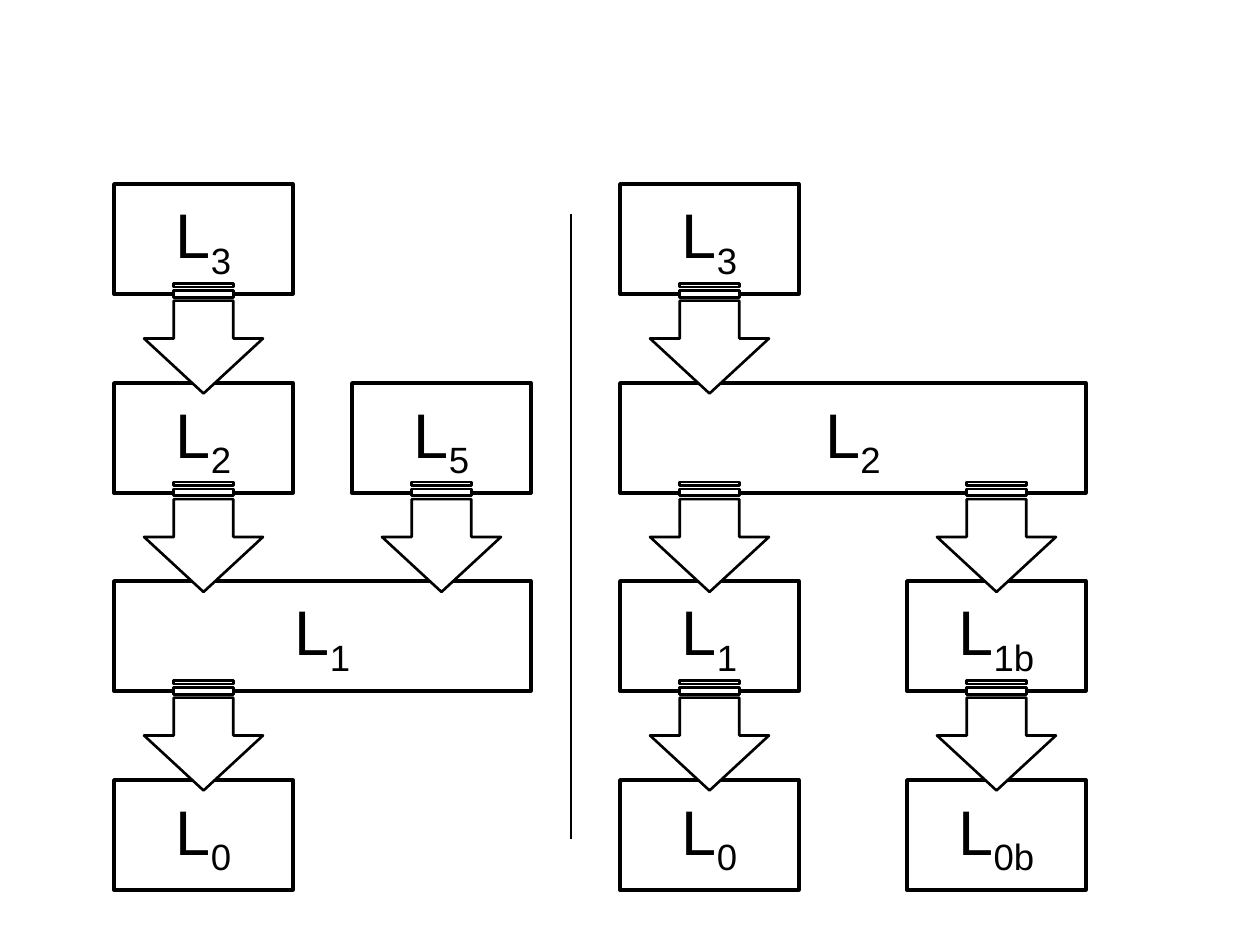
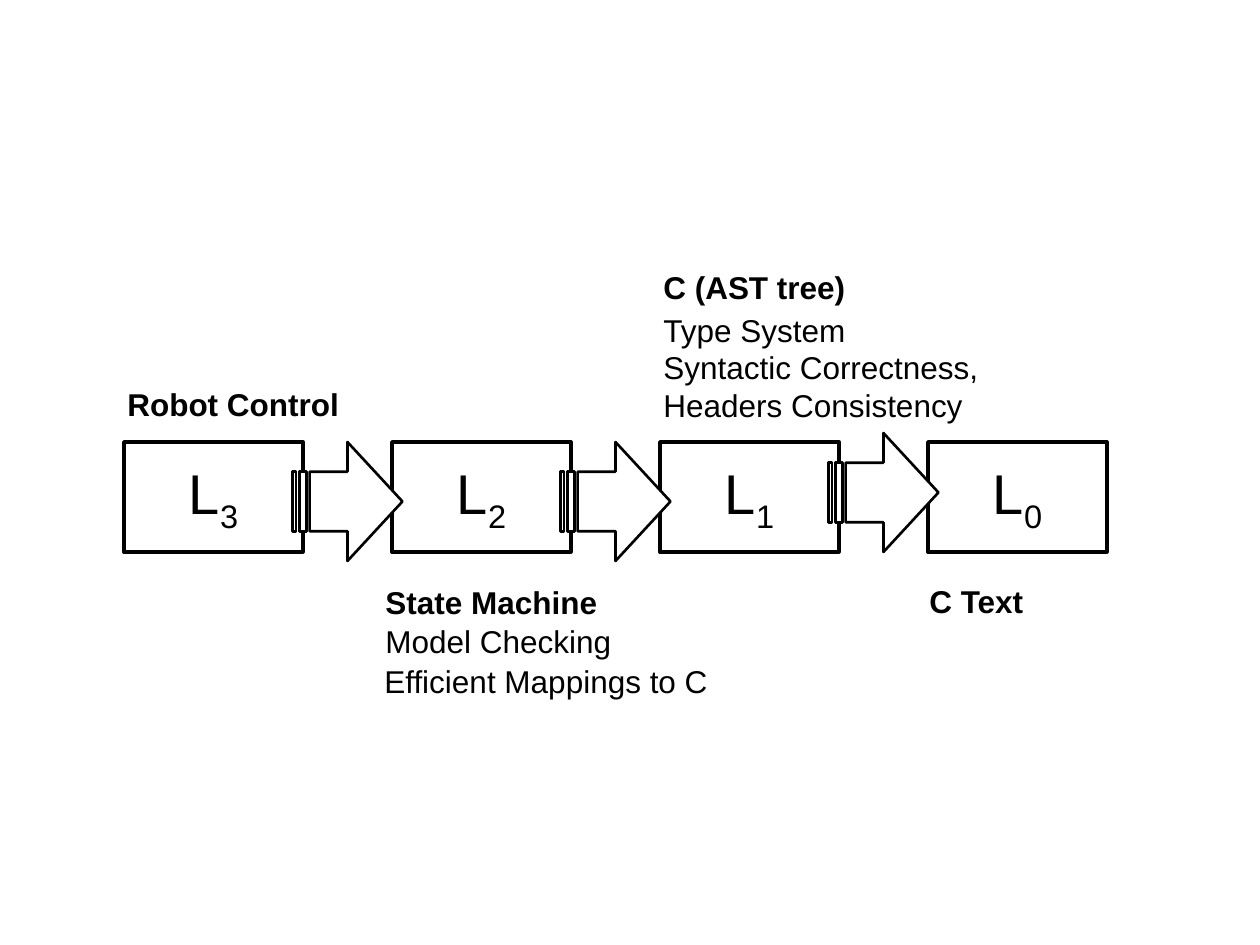
import pptx
import pptx.util
import pptx.dml.color
import pptx.enum.shapes
import pptx.enum.text
import lxml.etree

COLORS = {"ink": "000000", "paper": "FFFFFF"}
FONT = "Arial"
SCALE = 914400 // 126
BOX_WIDTH, BOX_HEIGHT = 179, 110
ARROW_LENGTH, ARROW_SPAN = 110, 119

ROWS = (184, 383, 581, 780)
COLUMNS = (114, 352, 620, 907)
LAYERS = [
    ("3", 0, 0, 0), ("2", 0, 0, 1), ("5", 1, 1, 1), ("1", 0, 1, 2), ("0", 0, 0, 3),
    ("3", 2, 2, 0), ("2", 2, 3, 1), ("1", 2, 2, 2), ("0", 2, 2, 3),
    ("1b", 3, 3, 2), ("0b", 3, 3, 3),
]
DOWN_ARROWS = [(0, 0), (0, 1), (0, 2), (1, 1), (2, 0), (2, 1), (2, 2), (3, 1), (3, 2)]
DIVIDER = (571, 214, 571, 839)

CHAIN = ("3", "2", "1", "0")
CHAIN_LEFT, CHAIN_TOP, CHAIN_STEP = 124, 442, 268
ARROW_TOPS = (442, 442, 433)
NOTE_HEIGHT = 100
NOTES = [
    ("Robot Control", 115, 354, 486, True),
    ("C (AST tree)", 651, 237, 407, True),
    ("Type System", 651, 280, 407, False),
    ("Syntactic Correctness,\vHeaders Consistency", 651, 336, 407, False),
    ("State Machine", 373, 552, 486, True),
    ("Model Checking", 373, 591, 525, False),
    ("Efficient Mappings to C", 372, 631, 407, False),
    ("C Text", 917, 551, 407, True),
]


def px(*lengths):
    return [pptx.util.Emu(round(length * SCALE)) for length in lengths]


def color(name):
    return pptx.dml.color.RGBColor.from_string(COLORS[name])


def set_font(font, size, bold=False):
    font.name, font.size, font.bold = FONT, pptx.util.Pt(size), bold
    font.color.rgb = color("ink")


def add_outlined(page, kind, bounds, line_width):
    shape = page.shapes.add_shape(kind, *px(*bounds))
    shape.shadow.inherit = False
    shape.fill.solid()
    shape.fill.fore_color.rgb = color("paper")
    shape.line.color.rgb = color("ink")
    shape.line.width = pptx.util.Pt(line_width)
    return shape


def add_layer(page, index, left, top, width, size):
    box = add_outlined(page, pptx.enum.shapes.MSO_SHAPE.RECTANGLE,
                       (left, top, width, BOX_HEIGHT), 2)
    frame = box.text_frame
    frame.vertical_anchor = pptx.enum.text.MSO_ANCHOR.MIDDLE
    para = frame.paragraphs[0]
    para.alignment = pptx.enum.text.PP_ALIGN.CENTER
    set_font(para.font, size)
    para.add_run().text = "L"
    span = para.add_run()
    span.text = index
    span.font._element.set("baseline", "-25000")


def add_arrow(page, left, top, rotation=0):
    arrow = add_outlined(page, pptx.enum.shapes.MSO_SHAPE.STRIPED_RIGHT_ARROW,
                         (left, top, ARROW_LENGTH, ARROW_SPAN), 1.5)
    arrow.rotation = rotation


def add_divider(page, ends):
    line = page.shapes.add_connector(pptx.enum.shapes.MSO_CONNECTOR.STRAIGHT, *px(*ends))
    line.line.color.rgb = color("ink")
    line.line.width = pptx.util.Pt(1.5)
    properties = line._element.spPr
    lxml.etree.SubElement(properties, pptx.oxml.ns.qn("a:effectLst"))


def add_note(page, text, left, top, width, bold):
    box = page.shapes.add_textbox(*px(left, top, width, NOTE_HEIGHT))
    frame = box.text_frame
    frame.word_wrap = True
    frame.vertical_anchor = pptx.enum.text.MSO_ANCHOR.MIDDLE
    para = frame.paragraphs[0]
    para.text = text
    set_font(para.font, 18, bold)


def build_stacks(page):
    for index, first, last, row in LAYERS:
        width = COLUMNS[last] - COLUMNS[first] + BOX_WIDTH
        add_layer(page, index, COLUMNS[first], ROWS[row], width, 36)
    for column, row in DOWN_ARROWS:
        center_x = COLUMNS[column] + BOX_WIDTH / 2
        center_y = (ROWS[row] + BOX_HEIGHT + ROWS[row + 1]) / 2
        add_arrow(page, center_x - ARROW_LENGTH / 2, center_y - ARROW_SPAN / 2, 90)
    add_divider(page, DIVIDER)


def build_chain(page):
    lefts = [CHAIN_LEFT + CHAIN_STEP * place for place in range(len(CHAIN))]
    for index, left in zip(CHAIN, lefts):
        add_layer(page, index, left, CHAIN_TOP, BOX_WIDTH, 32)
    gap = CHAIN_STEP - BOX_WIDTH
    for left, top in zip(lefts, ARROW_TOPS):
        add_arrow(page, left + BOX_WIDTH + (gap - ARROW_LENGTH) / 2, top)
    for note in NOTES:
        add_note(page, *note)


deck = pptx.Presentation()
deck.slide_width, deck.slide_height = px(1260, 945)
for build in (build_stacks, build_chain):
    build(deck.slides.add_slide(deck.slide_layouts[6]))
deck.save("out.pptx")
